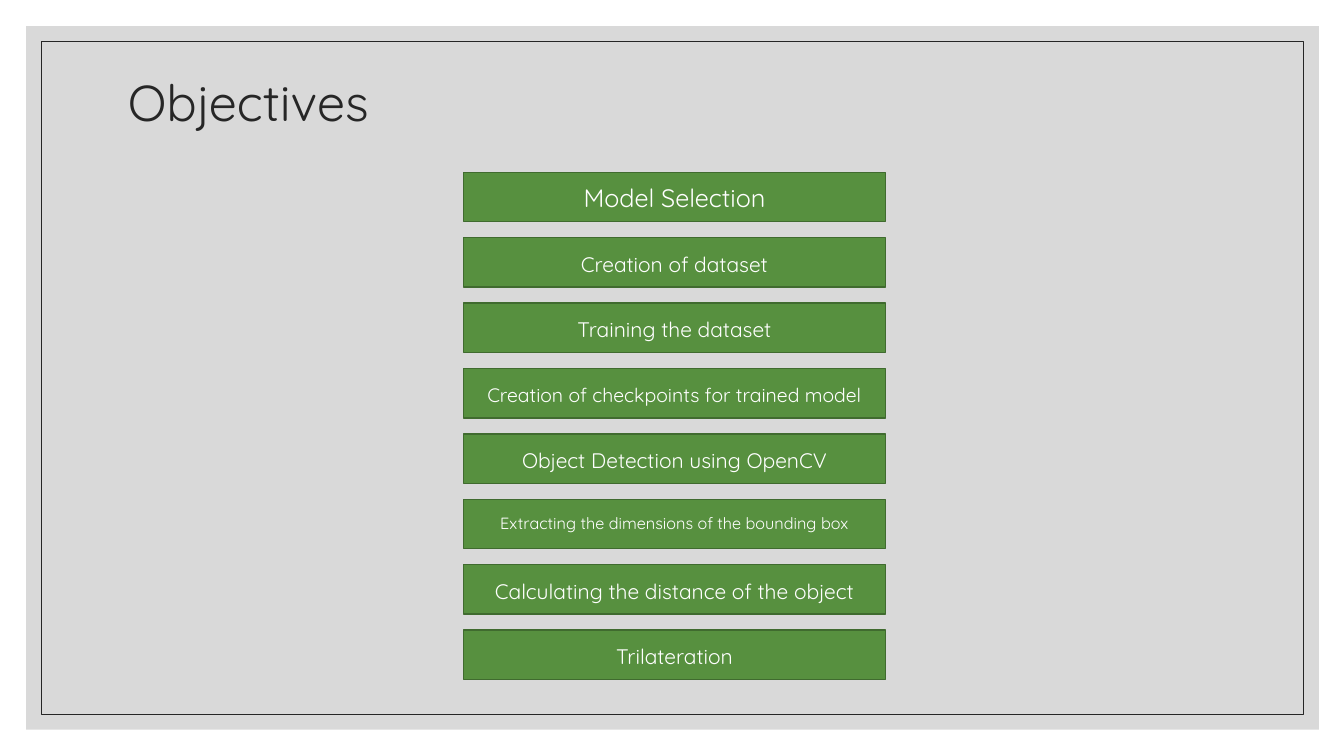
"""Build the Objectives slide with its column of steps."""
import pptx
import pptx.util
import pptx.dml.color
import pptx.enum.shapes
import pptx.enum.text

TITLE = "Objectives"
STEPS = [
    ("Model Selection", 18, 1.0),
    ("Creation of dataset", 15, 1.1),
    ("Training the dataset", 15, 1.1),
    ("Creation of checkpoints for trained model", 13.9, 1.1),
    ("Object Detection using OpenCV", 15, 1.1),
    ("Extracting the dimensions of the bounding box", 11.6, 0.9),
    ("Calculating the distance of the object", 15, 1.1),
    ("Trilateration", 15, 1.1),
]
COLORS = {"panel": "D9D9D9", "ink": "262626", "green": "57903F",
          "edge": "406B2F", "white": "FFFFFF"}
FONT = "Quicksand"
WIDE, HIGH = 13.33, 7.5
LEFT, WIDTH, HEIGHT = 4.6, 4.18, 0.49
FIRST, LAST = 1.71, 6.25

Inches = pptx.util.Inches
Pt = pptx.util.Pt
Align = pptx.enum.text.PP_ALIGN


def color(name):
    return pptx.dml.color.RGBColor.from_string(COLORS[name])


def add_box(slide, at, fill=None, line=None, width=1):
    box = slide.shapes.add_shape(
        pptx.enum.shapes.MSO_SHAPE.RECTANGLE, *map(Inches, at))
    box.shadow.inherit = False
    if fill:
        box.fill.solid()
        box.fill.fore_color.rgb = color(fill)
    else:
        box.fill.background()
    if line:
        box.line.color.rgb = color(line)
        box.line.width = Pt(width)
    else:
        box.line.fill.background()
    return box


def set_text(box, text, size, ink, align, space):
    frame = box.text_frame
    frame.word_wrap = True
    frame.vertical_anchor = pptx.enum.text.MSO_ANCHOR.MIDDLE
    para = frame.paragraphs[0]
    para.text = text
    para.alignment = align
    para.line_spacing = space
    para.font.name = FONT
    para.font.size = Pt(size)
    para.font.color.rgb = color(ink)


def main():
    deck = pptx.Presentation()
    deck.slide_width, deck.slide_height = Inches(WIDE), Inches(HIGH)
    slide = deck.slides.add_slide(deck.slide_layouts[6])

    add_box(slide, (0.26, 0.26, 12.82, 6.98), fill="panel")
    add_box(slide, (0.41, 0.41, 12.52, 6.68), line="ink", width=0.5)

    title = slide.shapes.add_textbox(*map(Inches, (1.17, 0.7, 11, 0.68)))
    set_text(title, TITLE, 36, "ink", Align.LEFT, 0.9)

    pitch = (LAST - FIRST) / (len(STEPS) - 1)
    for i, (text, size, space) in enumerate(STEPS):
        at = (LEFT, FIRST + i * pitch, WIDTH, HEIGHT)
        box = add_box(slide, at, "green", "edge")
        set_text(box, text, size, "white", Align.CENTER, space)

    deck.save("out.pptx")


if __name__ == "__main__":
    main()
